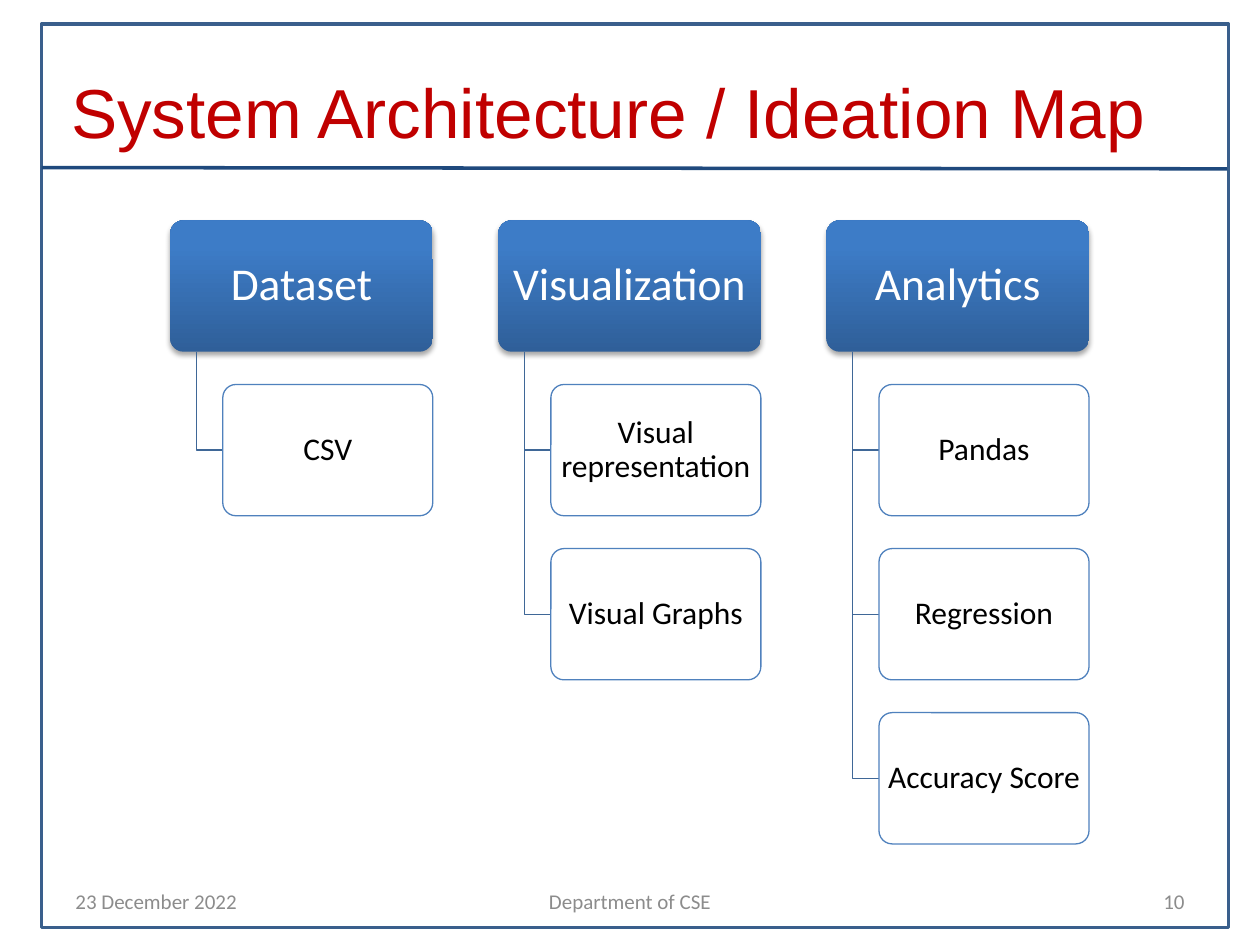
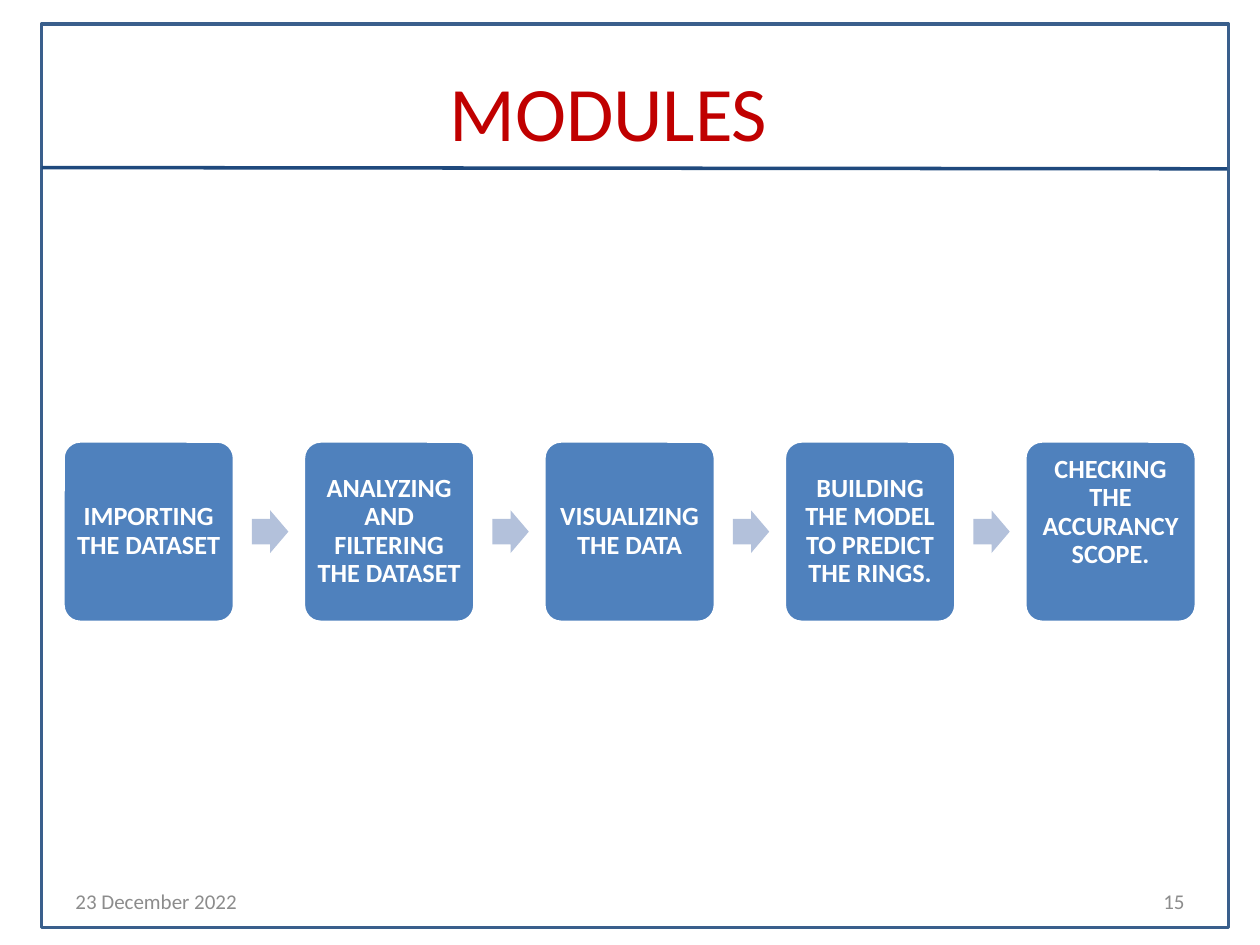
from lxml import etree
from pptx import Presentation
from pptx.dml.color import RGBColor
from pptx.enum.shapes import MSO_CONNECTOR, MSO_SHAPE
from pptx.enum.text import MSO_ANCHOR, PP_ALIGN
from pptx.oxml.ns import qn
from pptx.util import Pt

RECTANGLE = MSO_SHAPE.RECTANGLE
ROUNDED = MSO_SHAPE.ROUNDED_RECTANGLE
RIGHT_ARROW = MSO_SHAPE.RIGHT_ARROW
STRAIGHT = MSO_CONNECTOR.STRAIGHT
LEFT, CENTER, RIGHT = PP_ALIGN.LEFT, PP_ALIGN.CENTER, PP_ALIGN.RIGHT
MIDDLE = MSO_ANCHOR.MIDDLE

FRAME_BLUE = RGBColor(0x3A, 0x5F, 0x8C)
RULE_BLUE = RGBColor(0x1F, 0x49, 0x7D)
TITLE_RED = RGBColor(0xC0, 0x00, 0x00)
FOOTER_GREY = RGBColor(0x8C, 0x8C, 0x8C)
GRADIENT_DARK = RGBColor(0x2F, 0x5F, 0x99)
GRADIENT_LIGHT = RGBColor(0x3D, 0x7C, 0xC7)
BRANCH_BLUE = RGBColor(0x3F, 0x67, 0x97)
BOX_BLUE = RGBColor(0x4F, 0x81, 0xBD)
ARROW_BLUE = RGBColor(0xB3, 0xC1, 0xDB)
WHITE = RGBColor(0xFF, 0xFF, 0xFF)
BLACK = RGBColor(0x00, 0x00, 0x00)

BODY_FONT = "Calibri"
DATE = "23 December 2022"


class Deck:
    """Holds the shared style and the slide being drawn."""

    def __init__(self):
        self.presentation = Presentation()
        self.presentation.slide_width = Pt(720)
        self.presentation.slide_height = Pt(540)
        self.slide = None

    def start_slide(self, title, number, department="", title_font=BODY_FONT, title_size=44):
        self.slide = self.presentation.slides.add_slide(self.presentation.slide_layouts[6])
        # Frame and rule under the title
        self.box(RECTANGLE, 23.76, 13.68, 678.24, 516.24, line=FRAME_BLUE, line_width=2)
        self.rule(23.76, 95.76, 701.28, 96.48)
        self.text(title, 23.76, 18, 648, 90, title_size, TITLE_RED, CENTER, title_font)
        # Footer
        self.text(DATE, 36, 500.4, 168, 28.8, 12, FOOTER_GREY, LEFT)
        if department:
            self.text(department, 246, 500.4, 228, 28.8, 12, FOOTER_GREY, CENTER)
        self.text(number, 516, 500.4, 168, 28.8, 12, FOOTER_GREY, RIGHT)

    def box(self, kind, left, top, width, height, fill=None, line=None, line_width=0.75):
        shape = self.slide.shapes.add_shape(kind, Pt(left), Pt(top), Pt(width), Pt(height))
        shape.shadow.inherit = False
        if kind == ROUNDED:
            shape.adjustments[0] = 0.1
        self.paint(shape, fill, line, line_width)
        return shape

    def paint(self, shape, fill, line, line_width):
        if fill is None:
            shape.fill.background()
        else:
            shape.fill.solid()
            shape.fill.fore_color.rgb = fill
        if line is None:
            shape.line.fill.background()
        else:
            shape.line.color.rgb = line
            shape.line.width = Pt(line_width)

    def rule(self, start_x, start_y, end_x, end_y):
        connector = self.slide.shapes.add_connector(
            STRAIGHT, Pt(start_x), Pt(start_y), Pt(end_x), Pt(end_y))
        connector.line.color.rgb = RULE_BLUE
        connector.line.width = Pt(2)
        etree.SubElement(connector._element.spPr, qn("a:effectLst"))

    def text(self, words, left, top, width, height, size, color, align, font=BODY_FONT):
        shape = self.slide.shapes.add_textbox(Pt(left), Pt(top), Pt(width), Pt(height))
        self.set_text(shape, words, size, color, align, font)

    def label(self, shape, words, size, color, inset, bold=False):
        frame = shape.text_frame
        frame.margin_left = frame.margin_right = Pt(inset)
        frame.margin_top = frame.margin_bottom = Pt(inset)
        self.set_text(shape, words, size, color, CENTER, bold=bold, spacing=0.9)

    def set_text(self, shape, words, size, color, align, font=BODY_FONT, bold=False, spacing=1.0):
        frame = shape.text_frame
        frame.word_wrap = True
        frame.vertical_anchor = MIDDLE
        paragraph = frame.paragraphs[0]
        paragraph.text = words
        paragraph.alignment = align
        paragraph.line_spacing = spacing
        paragraph.font.name = font
        paragraph.font.size = Pt(size)
        paragraph.font.bold = bold
        paragraph.font.color.rgb = color

    def header(self, words, left, top, width, height):
        shape = self.box(ROUNDED, left, top, width, height)
        shape.fill.gradient()
        shape.fill.gradient_angle = 90
        dark, light = shape.fill.gradient_stops
        dark.color.rgb, dark.position = GRADIENT_DARK, 0
        light.color.rgb, light.position = GRADIENT_LIGHT, 0.8
        # Soft shadow straight below
        effects = shape._element.spPr.find(qn("a:effectLst"))
        shadow = etree.SubElement(effects, qn("a:outerShdw"), blurRad=str(Pt(3.1)),
                                  dist=str(Pt(1.8)), dir="5400000", rotWithShape="0")
        black = etree.SubElement(shadow, qn("a:srgbClr"), val="000000")
        etree.SubElement(black, qn("a:alpha"), val="35000")
        self.label(shape, words, 26, WHITE, 3.6)

    def branch(self, left, top, right, bottom):
        builder = self.slide.shapes.build_freeform(Pt(left), Pt(top))
        builder.add_line_segments([(Pt(left), Pt(bottom)), (Pt(right), Pt(bottom))], close=False)
        shape = builder.convert_to_shape()
        shape.shadow.inherit = False
        self.paint(shape, None, BRANCH_BLUE, 0.75)


def architecture_slide(deck):
    deck.start_slide("System Architecture / Ideation Map", "10", "Department of CSE",
                     title_font="Arial", title_size=39.6)
    columns = {
        "Dataset": ["CSV"],
        "Visualization": ["Visual representation", "Visual Graphs"],
        "Analytics": ["Pandas", "Regression", "Accuracy Score"],
    }
    top, width, height, gap = 126, 150, 75, 18.75
    for column, (heading, children) in enumerate(columns.items()):
        left = 97.3 + column * width * 1.25
        deck.header(heading, left, top, width, height)
        for row, child in enumerate(children, start=1):
            child_top = top + row * (height + gap)
            child_left = left + 30
            deck.branch(left + 15, top + height, child_left, child_top + height / 2)
            shape = deck.box(ROUNDED, child_left, child_top, 120, height, WHITE, BOX_BLUE)
            deck.label(shape, child, 18, BLACK, 2.5)


def modules_slide(deck):
    deck.start_slide("MODULES", "15")
    steps = [
        "IMPORTING THE DATASET",
        "ANALYZING AND FILTERING THE DATASET",
        "VISUALIZING THE DATA",
        "BUILDING THE MODEL TO PREDICT THE RINGS.",
        "CHECKING THE ACCURANCY SCOPE.",
    ]
    top, width, height, pitch = 252, 98, 103.6, 137.4
    arrow_width, arrow_height = 20.8, 24.4
    for index, step in enumerate(steps):
        left = 36 + index * pitch
        if index:
            arrow = deck.box(RIGHT_ARROW, left - 29.4, top + (height - arrow_height) / 2,
                             arrow_width, arrow_height, ARROW_BLUE)
            arrow.adjustments[0] = 0.6
        shape = deck.box(ROUNDED, left, top, width, height, BOX_BLUE, WHITE, 2)
        deck.label(shape, step, 15, WHITE, 4, bold=True)
    # The last step sits higher in its box
    shape.text_frame.margin_bottom = Pt(26)


def main():
    deck = Deck()
    architecture_slide(deck)
    modules_slide(deck)
    deck.presentation.save("out.pptx")


if __name__ == "__main__":
    main()
